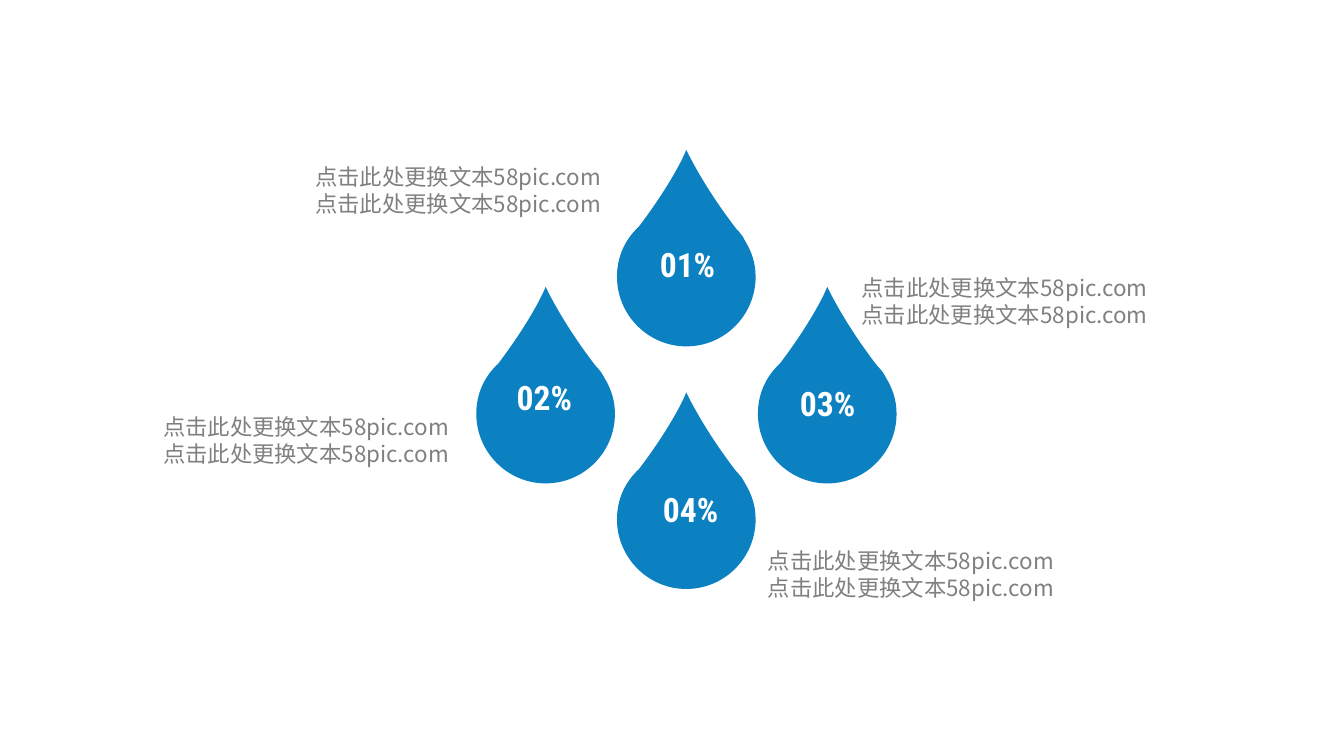
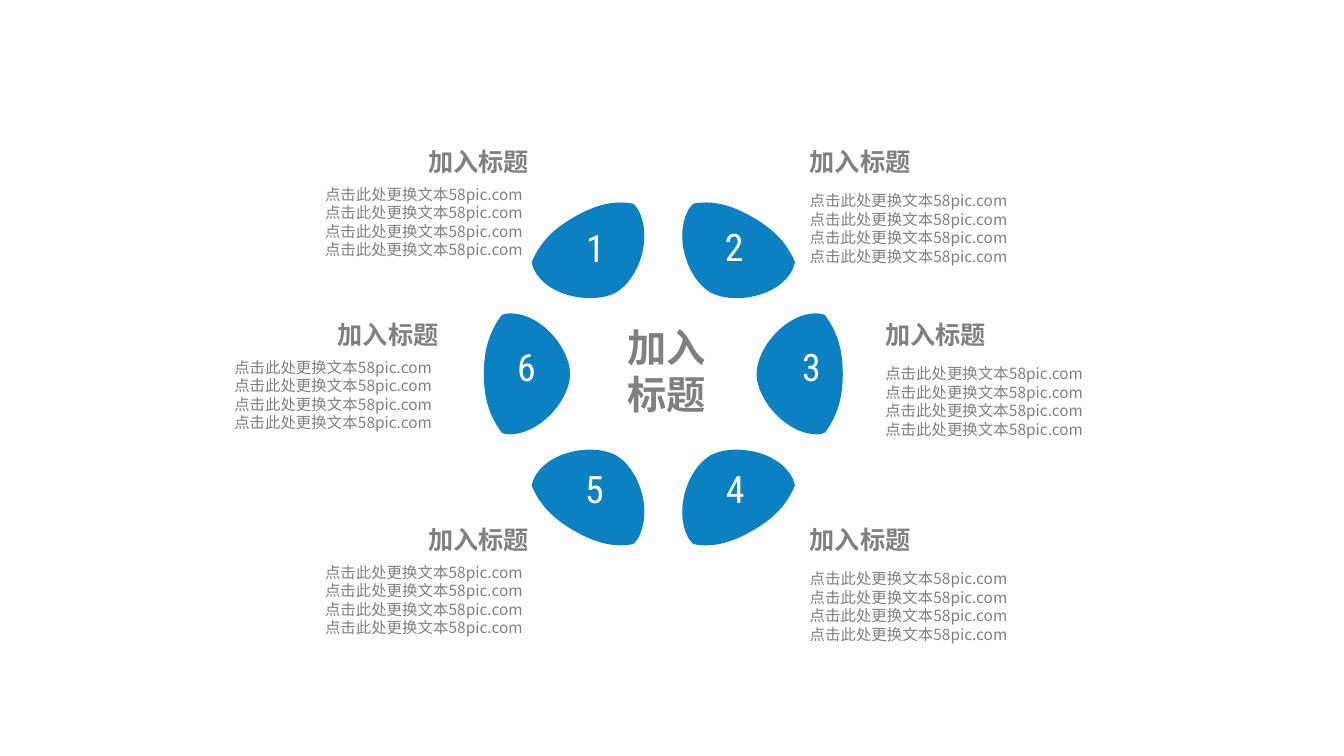
from lxml.etree import SubElement
from pptx import Presentation
from pptx.dml.color import RGBColor
from pptx.enum.shapes import MSO_SHAPE
from pptx.enum.text import MSO_ANCHOR, MSO_AUTO_SIZE, PP_ALIGN
from pptx.oxml.ns import qn
from pptx.util import Pt

COLORS = {"blue": "0B81C1", "grey": "808080", "white": "FFFFFF"}
CJK_FONT = "Noto Sans CJK SC"
NUMBER_FONT = "Roboto Condensed"
SAMPLE = "点击此处更换文本58pic.com"

# Each outline is a start point followed by cubic curves (two controls, end).
DROP = [  # from the top left of the drop
    (15.8, 54.7),
    (36, 28), (46.8, 7.2), (49.5, 0),
    (53, 7.2), (64, 28.8), (85, 56.2),
    (87.8, 59), (90, 61.9), (91.4, 64.8),
    (96, 72.4), (99, 80.5), (99, 90.7),
    (99, 118), (77, 140.4), (49.5, 140.4),
    (22.3, 140.4), (0, 118), (0, 90.7),
    (0, 76.3), (5.8, 64), (15.8, 54.7),
]
UPPER_PETAL = [  # petals are measured from the hub
    (94, -79.9),
    (88.9, -91.4), (81.7, -101.5), (64.4, -111.6),
    (47.2, -121.7), (34.2, -123.8), (22, -121.7),
    (21.2, -121.7), (19.1, -118.8), (18.4, -118.1),
    (6.8, -97.9), (17.6, -67.7), (33.5, -58.3),
    (48.6, -49.7), (82.4, -54), (92.5, -74.9),
    (93.2, -76.3), (94, -79.2), (94, -79.9),
]
SIDE_PETAL = [
    (115.6, -41.8),
    (122.8, -31.7), (128.2, -20.2), (128.2, 0),
    (128.2, 20.2), (122.8, 31.7), (115.6, 41.8),
    (114.8, 42.5), (112, 43.2), (110.2, 43.2),
    (87.5, 43.2), (66.6, 18), (66.6, 0),
    (66.6, -18), (87.5, -44), (110.2, -43.2),
    (112, -43.2), (114.8, -42.5), (115.6, -41.8),
]


def add_outline(page, outline, left, top, flip_x=1, flip_y=1):
    """Draw a blue curved outline, optionally mirrored about (left, top)."""
    placed = [(Pt(left + flip_x * x), Pt(top + flip_y * y)) for x, y in outline]
    builder = page.shapes.build_freeform(*placed[0])
    builder.add_line_segments(placed[1:], close=True)
    shape = builder.convert_to_shape()
    lines = list(shape._element.iter(qn("a:lnTo")))
    for first, second, end in zip(lines[::3], lines[1::3], lines[2::3]):
        first.tag = qn("a:cubicBezTo")
        for line in (second, end):
            first.append(line[0])
            line.getparent().remove(line)
    shape.shadow.inherit = False
    shape.fill.solid()
    shape.fill.fore_color.rgb = RGBColor.from_string(COLORS["blue"])
    shape.line.fill.background()


def write(box, at, lines, size, color="grey", font=CJK_FONT, bold=False,
          align=PP_ALIGN.LEFT, inset=0, wrap=True):
    """Place a text shape at (left, top, width, height) and fill it."""
    box.left, box.top, box.width, box.height = map(Pt, at)
    frame = box.text_frame
    frame.word_wrap = wrap
    frame.auto_size = MSO_AUTO_SIZE.NONE
    frame.vertical_anchor = MSO_ANCHOR.TOP
    frame.margin_left = frame.margin_right = Pt(2 * inset)
    frame.margin_top = frame.margin_bottom = Pt(inset)
    for index, line in enumerate(lines):
        para = frame.add_paragraph() if index else frame.paragraphs[0]
        para.alignment = align
        span = para.add_run()
        span.text = line
        span.font.name = font
        span.font.size = Pt(size)
        span.font.bold = bold
        span.font.color.rgb = RGBColor.from_string(COLORS[color])
        SubElement(span.font._element, qn("a:ea"), typeface=font)


deck = Presentation()
deck.slide_width, deck.slide_height = Pt(960), Pt(540)
title_only, blank = deck.slide_layouts[5], deck.slide_layouts[6]

# Slide 1: four drops with captions
page = deck.slides.add_slide(blank)
drops = [  # drop, number and caption positions
    ("01%", (440.7, 107), (447.6, 170.6), (218, 113)),
    ("02%", (340.2, 204.9), (345.4, 265.7), (109.4, 291.6)),
    ("03%", (541.4, 204.9), (547.6, 269.7), (608.4, 192.2)),
    ("04%", (440.7, 280.3), (449.8, 345.6), (541.4, 387)),
]
for number, drop_at, number_at, caption_at in drops:
    add_outline(page, DROP, *drop_at)
    write(page.shapes.add_textbox(0, 0, 0, 0), (*number_at, 87, 44.6), [number],
          24, "white", NUMBER_FONT, True, PP_ALIGN.CENTER, 3.6)
    write(page.shapes.add_textbox(0, 0, 0, 0), (*caption_at, 242, 46),
          [SAMPLE] * 2, 16, inset=3.6)

# Slide 2: six petals around a hub
page = deck.slides.add_slide(title_only)
write(page.shapes.title, (427, 231.1, 98.6, 67.7), ["加入", "标题"], 28,
      bold=True, align=PP_ALIGN.CENTER)

HUB = (473.8, 267.1)
petals = [  # outline, mirroring, number centre, top and width
    ("1", UPPER_PETAL, -1, 1, 425.4, 160.6, 8.6),
    ("2", UPPER_PETAL, 1, 1, 524.5, 160, 14),
    ("3", SIDE_PETAL, 1, 1, 579.6, 245.5, 14),
    ("4", UPPER_PETAL, 1, -1, 525.2, 332.6, 14),
    ("5", UPPER_PETAL, -1, -1, 424.6, 332.6, 14),
    ("6", SIDE_PETAL, -1, 1, 376, 245.5, 14),
]
for number, outline, flip_x, flip_y, center, top, width in petals:
    add_outline(page, outline, *HUB, flip_x, flip_y)
    if number == "6":
        box = page.shapes.add_shape(MSO_SHAPE.RECTANGLE, 0, 0, 0, 0)
        box.shadow.inherit = False
        box.fill.solid()
        box.fill.fore_color.rgb = RGBColor.from_string(COLORS["blue"])
        box.line.fill.background()
    else:
        box = page.shapes.add_textbox(0, 0, 0, 0)
    write(box, (center - width / 2, top, width, 32.4), [number], 27, "white",
          NUMBER_FONT, align=PP_ALIGN.CENTER, wrap=False)

HEADING_WIDTH, BODY_WIDTH = 131.8, 213.8
rows = [(104.4, 378, 578.4), (228, 313.2, 632.4), (374.4, 378, 578.4)]
for top, left_column_end, right_column_start in rows:
    columns = [  # heading left, body left, body drop, alignment
        (left_column_end - HEADING_WIDTH, left_column_end - 4.5 - BODY_WIDTH,
         27.8, PP_ALIGN.RIGHT),
        (right_column_start, right_column_start, 32.3, PP_ALIGN.LEFT),
    ]
    for heading_left, body_left, body_drop, align in columns:
        write(page.shapes.add_textbox(0, 0, 0, 0),
              (heading_left, top, HEADING_WIDTH, 21.6), ["加入标题"], 18,
              bold=True, align=align)
        write(page.shapes.add_textbox(0, 0, 0, 0),
              (body_left, top + body_drop, BODY_WIDTH, 53.3), [SAMPLE] * 4, 11,
              align=align)

deck.save("out.pptx")
